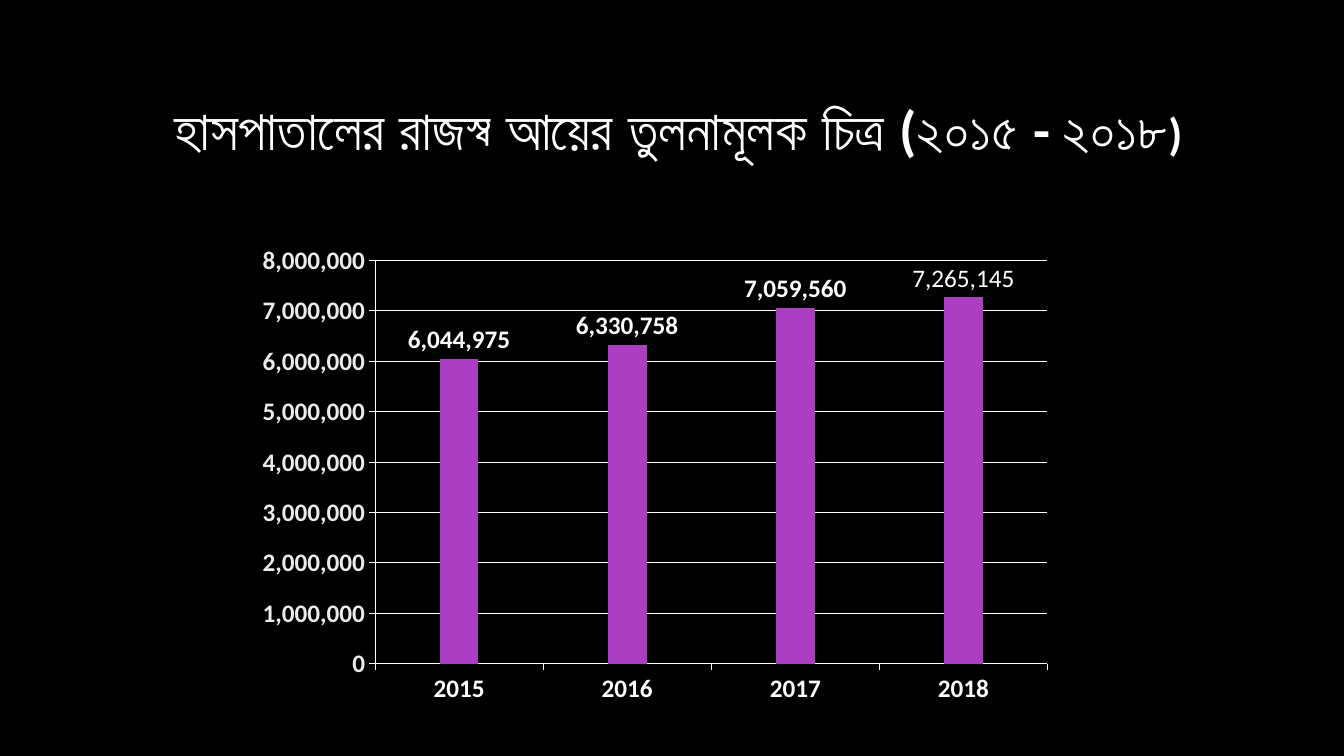
from lxml import etree
from pptx import Presentation
from pptx.chart.data import CategoryChartData
from pptx.dml.color import RGBColor
from pptx.enum.chart import XL_CHART_TYPE as ChartType
from pptx.enum.chart import XL_LABEL_POSITION as LabelPosition
from pptx.enum.chart import XL_TICK_MARK as TickMark
from pptx.enum.text import MSO_ANCHOR as Anchor
from pptx.enum.text import PP_ALIGN as Align
from pptx.oxml.ns import qn
from pptx.util import Inches, Pt

BLACK = RGBColor(0x00, 0x00, 0x00)
WHITE = RGBColor(0xFF, 0xFF, 0xFF)
PALE_GREY = RGBColor(0xEB, 0xEB, 0xEB)
PURPLE = RGBColor(0xAC, 0x3E, 0xC1)

FONT = "Calibri"
WIDTH, HEIGHT = Inches(13.33), Inches(7.5)
NUMBERS = "#,##0"
REVENUE = {"2015": 6044975, "2016": 6330758, "2017": 7059560, "2018": 7265145}

# Boxes as shares of the slide: left, top, width, height
TITLE_BOX = (0.05, 0.11, 0.91, 0.12)
CHART_BOX = (0.183, 0.311, 0.608, 0.633)
# Plot as shares of the chart
PLOT_BOX = {"x": 0.158, "y": 0.053, "w": 0.823, "h": 0.843}


def place(box):
    left, top, width, height = box
    return (int(left * WIDTH), int(top * HEIGHT),
            int(width * WIDTH), int(height * HEIGHT))


def style_font(font, size, color=WHITE, bold=True):
    font.name = FONT
    font.size = Pt(size)
    font.bold = bold
    font.color.rgb = color


def add_title(page, box):
    frame = page.shapes.add_textbox(*place(box)).text_frame
    frame.word_wrap = True
    frame.vertical_anchor = Anchor.MIDDLE
    para = frame.paragraphs[0]
    para.alignment = Align.CENTER
    for text, size in (("হাসপাতালের রাজস্ব আয়ের তুলনামূলক চিত্র (২০১৫ - ২০১৮", 39.6),
                       (")", 32.4)):
        span = para.add_run()
        span.text = text
        style_font(span.font, size)


def set_plot_layout(chart, shares):
    plot_area = chart._chartSpace.chart.plotArea
    for old in plot_area.findall(qn("c:layout")):
        plot_area.remove(old)
    layout = etree.Element(qn("c:layout"))
    manual = etree.SubElement(layout, qn("c:manualLayout"))
    settings = {"layoutTarget": "inner", "xMode": "edge", "yMode": "edge", **shares}
    for name, value in settings.items():
        etree.SubElement(manual, qn(f"c:{name}")).set("val", str(value))
    plot_area.insert(0, layout)


def style_axis(axis, color):
    axis.major_tick_mark = TickMark.OUTSIDE
    axis.minor_tick_mark = TickMark.NONE
    axis.format.line.color.rgb = WHITE
    axis.format.line.width = Pt(0.75)
    style_font(axis.tick_labels.font, 18, color)


def add_revenue_chart(page, box):
    data = CategoryChartData(number_format=NUMBERS)
    data.categories = list(REVENUE)
    data.add_series("Series 1", list(REVENUE.values()))
    chart = page.shapes.add_chart(ChartType.COLUMN_CLUSTERED, *place(box), data).chart
    chart.has_legend = False
    chart.has_title = False
    style_font(chart.font, 18, bold=False)
    set_plot_layout(chart, PLOT_BOX)

    # Axes
    style_axis(chart.category_axis, WHITE)
    values = chart.value_axis
    style_axis(values, PALE_GREY)
    values.minimum_scale, values.maximum_scale = 0, 8000000
    values.major_unit = 1000000
    values.tick_labels.number_format = NUMBERS
    values.tick_labels.number_format_is_linked = False
    values.has_major_gridlines = True
    values.major_gridlines.format.line.color.rgb = WHITE
    values.major_gridlines.format.line.width = Pt(0.75)

    # Columns
    plot = chart.plots[0]
    plot.gap_width = 335
    plot.vary_by_categories = False
    series = plot.series[0]
    series.format.fill.solid()
    series.format.fill.fore_color.rgb = PURPLE

    # Value labels, the latest year in regular weight
    labels = series.data_labels
    labels.show_value = True
    labels.number_format = NUMBERS
    labels.number_format_is_linked = False
    labels.position = LabelPosition.OUTSIDE_END
    style_font(labels.font, 18)
    latest = series.points[len(REVENUE) - 1].data_label
    style_font(latest.font, 18, bold=False)
    latest.position = LabelPosition.OUTSIDE_END


def main():
    deck = Presentation()
    deck.slide_width, deck.slide_height = WIDTH, HEIGHT
    page = deck.slides.add_slide(deck.slide_layouts[6])
    page.background.fill.solid()
    page.background.fill.fore_color.rgb = BLACK
    add_title(page, TITLE_BOX)
    add_revenue_chart(page, CHART_BOX)
    deck.save("out.pptx")


if __name__ == "__main__":
    main()
